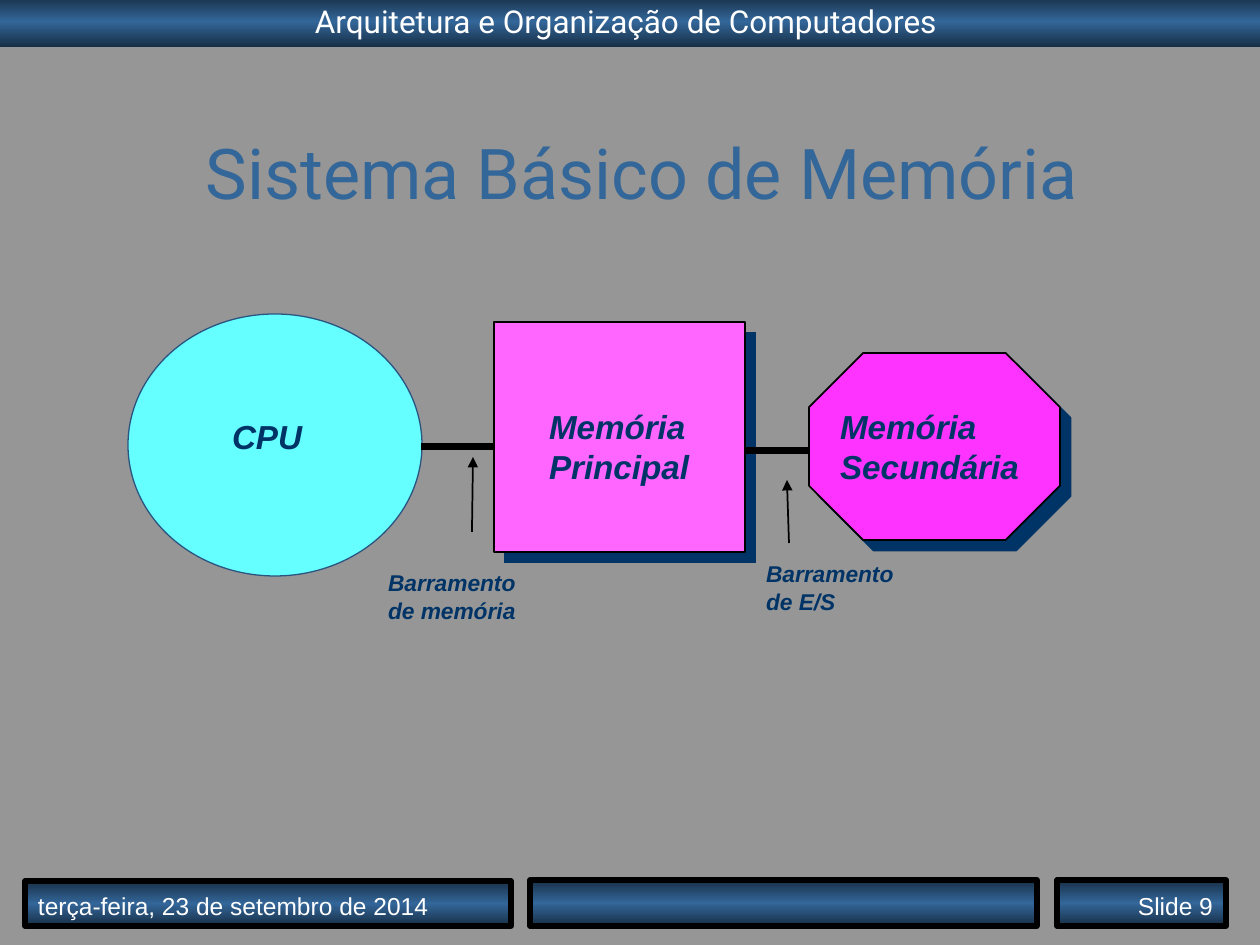
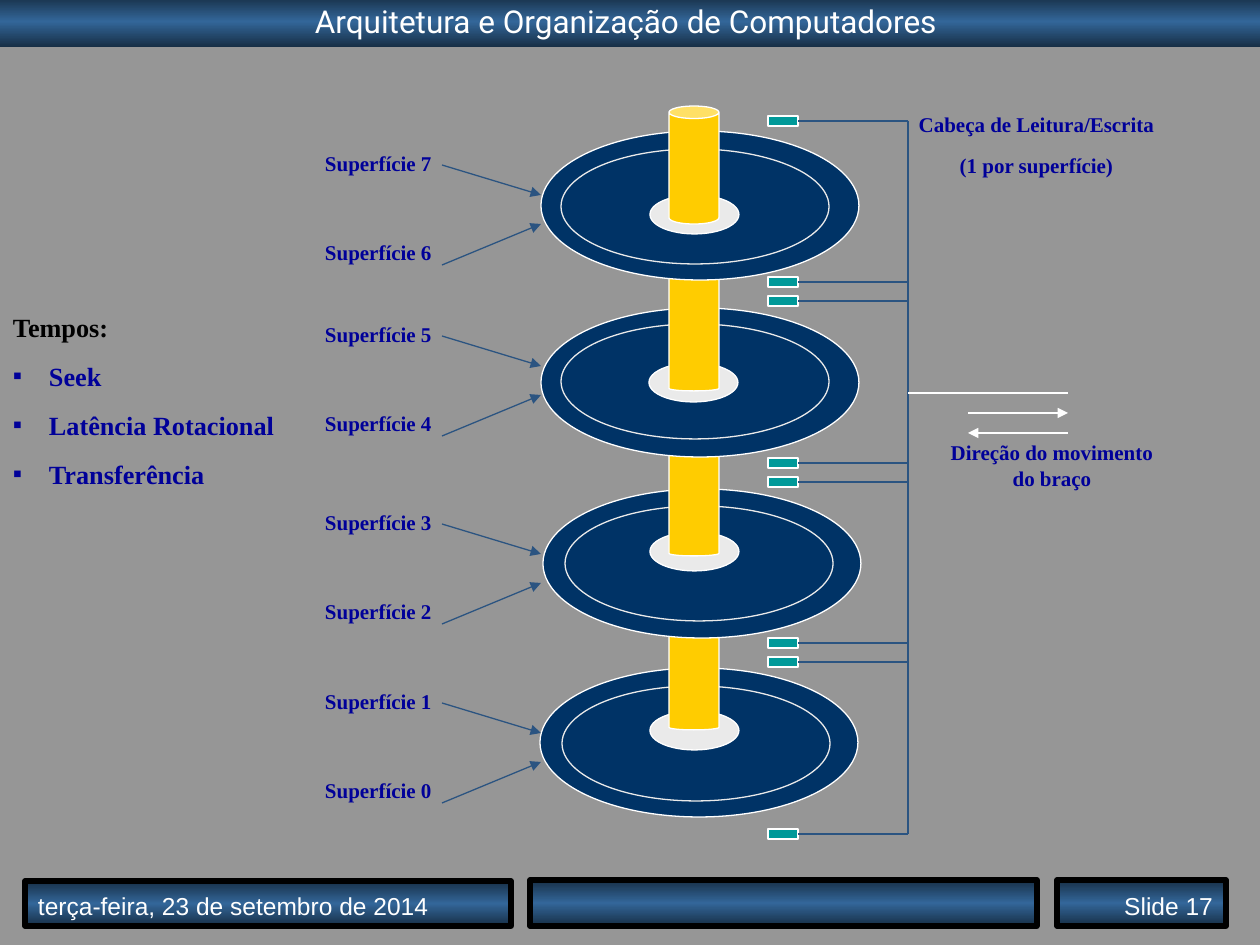
from copy import deepcopy

from lxml.etree import SubElement
from pptx import Presentation
from pptx.dml.color import RGBColor
from pptx.enum.shapes import MSO_CONNECTOR, MSO_SHAPE
from pptx.enum.text import MSO_ANCHOR, MSO_AUTO_SIZE, PP_ALIGN
from pptx.oxml.ns import qn
from pptx.util import Emu, Pt

EMU_PER_PX = 914400 / 126
TITLE_ONLY, BLANK = 5, 6

GREY, WHITE, BLACK = "969696", "FFFFFF", "000000"
NAVY, STEEL, BAND_EDGE, LINE_BLUE = "003366", "336699", "172F46", "2B5481"
LABEL_BLUE, TEAL, GOLD, SILVER = "000099", "009999", "FFCC00", "EAEAEA"
ROBOTO, ARIAL, TIMES = "Roboto", "Arial", "Times New Roman"


def px(n):
    return Emu(round(n * EMU_PER_PX))


def rgb(color):
    return RGBColor.from_string(color)


# ---- Basic parts ----

def put_text(shape, lines, size, font, color, bold=False, italic=False,
             align=PP_ALIGN.LEFT, anchor=MSO_ANCHOR.TOP,
             insets=(13, 6, 13, 6), gap=0):
    tf = shape.text_frame
    tf.word_wrap = True
    tf.auto_size = MSO_AUTO_SIZE.NONE
    tf.vertical_anchor = anchor
    tf.margin_left, tf.margin_top, tf.margin_right, tf.margin_bottom = map(px, insets)
    for i, line in enumerate(lines):
        p = tf.add_paragraph() if i else tf.paragraphs[0]
        p.alignment = align
        if i and gap:
            p.space_before = Pt(gap)
        r = p.add_run()
        r.text = line
        r.font.size, r.font.name = Pt(size), font
        r.font.bold, r.font.italic = bold, italic
        r.font.color.rgb = rgb(color)
    return tf


def add_text(s, box, lines, size, font, color, **style):
    tb = s.shapes.add_textbox(*map(px, box))
    return put_text(tb, lines, size, font, color, **style)


def add_box(s, kind, box, fill=None, line=None, width=0.75, adj=None):
    sp = s.shapes.add_shape(kind, *map(px, box))
    sp.shadow.inherit = False
    if adj is not None:
        sp.adjustments[0] = adj
    if fill:
        sp.fill.solid()
        sp.fill.fore_color.rgb = rgb(fill)
    if line:
        sp.line.color.rgb = rgb(line)
        sp.line.width = Pt(width)
    else:
        sp.line.fill.background()
    return sp


def add_band(s, box, line=None):
    """Rectangle shaded dark, light, dark from top to bottom."""
    sp = add_box(s, MSO_SHAPE.RECTANGLE, box, line=line, width=3)
    sp.fill.gradient()
    sp.fill.gradient_angle = 90
    stops = sp.element.spPr.find(".//" + qn("a:gsLst"))
    stops.append(deepcopy(stops[0]))
    colors = (BAND_EDGE, STEEL, BAND_EDGE)
    for stop, position, color in zip(sp.fill.gradient_stops, (0, 0.5, 1), colors):
        stop.position = position
        stop.color.rgb = rgb(color)
    return sp


def add_shadow(sp):
    effects = sp.element.spPr.find(qn("a:effectLst"))
    shadow = SubElement(effects, qn("a:outerShdw"), dist=str(Pt(8.5)),
                        dir="2700000", algn="ctr", rotWithShape="0")
    SubElement(shadow, qn("a:srgbClr"), val=NAVY)


def add_line(s, start, end, color, width=0.75, arrow=False):
    ends = map(px, (*start, *end))
    line = s.shapes.add_connector(MSO_CONNECTOR.STRAIGHT, *ends)
    line.line.color.rgb = rgb(color)
    line.line.width = Pt(width)
    spPr = line.element.spPr
    if arrow:
        SubElement(spPr.find(qn("a:ln")), qn("a:tailEnd"), type="triangle")
    SubElement(spPr, qn("a:effectLst"))
    return line


# ---- Shared frame ----

def new_slide(prs, layout, number):
    s = prs.slides.add_slide(prs.slide_layouts[layout])
    s.background.fill.solid()
    s.background.fill.fore_color.rgb = rgb(GREY)
    header = add_band(s, (0, -4, 1260, 51))
    put_text(header, ["Arquitetura e Organização de Computadores"], 18, ROBOTO,
             WHITE, align=PP_ALIGN.CENTER, insets=(13, 6, 21, 6))
    footers = (
        ((25, 881, 486, 45), "terça-feira, 23 de setembro de 2014", PP_ALIGN.LEFT),
        ((530, 880, 507, 46), None, None),
        ((1057, 880, 169, 46), f"Slide {number}", PP_ALIGN.RIGHT),
    )
    for box, text, align in footers:
        band = add_band(s, box, BLACK)
        if text:
            put_text(band, [text], 14, ARIAL, WHITE, align=align,
                     anchor=MSO_ANCHOR.BOTTOM)
    return s


# ---- Memory system ----

def memory_diagram(s, x, y):
    """CPU, main and secondary memory, joined by two buses."""
    cpu = (x, y, 294, 262)
    main = (x + 366, y + 8, 251, 230)
    secondary = (x + 681, y + 39, 251, 187)
    add_box(s, MSO_SHAPE.OVAL, cpu, "66FFFF", LINE_BLUE)
    add_shadow(add_box(s, MSO_SHAPE.RECTANGLE, main, "FF66FF", BLACK, 1))
    add_shadow(add_box(s, MSO_SHAPE.OCTAGON, secondary, "FF33FF", BLACK, 1, 0.29))

    labels = (
        (94, 97, 19, ["CPU"]),
        (411, 87, 19, ["Memória", "Principal"]),
        (702, 87, 19, ["Memória", "Secundária"]),
        (250, 250, 13, ["Barramento", "de memória"]),
        (628, 241, 13, ["Barramento", "de E/S"]),
    )
    for dx, dy, size, lines in labels:
        add_text(s, (x + dx, y + dy, 220, 45 * len(lines)), lines, size, ARIAL, NAVY,
                 bold=True, italic=True, insets=(10, 5, 10, 5))

    # Buses, then the arrows that point at them
    for left, right, dy in ((293, 366, 133), (618, 681, 137)):
        add_line(s, (x + left, y + dy), (x + right, y + dy), BLACK, 4)
    for start, end in (((344, 218), (345, 143)), ((661, 229), (659, 166))):
        add_line(s, (x + start[0], y + start[1]), (x + end[0], y + end[1]),
                 BLACK, 1, arrow=True)


def memory_slide(prs):
    s = new_slide(prs, TITLE_ONLY, 9)
    title = s.shapes.title
    title.left, title.top, title.width, title.height = map(px, (106, 96, 1071, 122))
    put_text(title, ["Sistema Básico de Memória"], 40, ROBOTO, STEEL,
             align=PP_ALIGN.CENTER, anchor=MSO_ANCHOR.BOTTOM, insets=(8, 4, 8, 4))
    memory_diagram(s, 128, 314)


# ---- Disk unit ----

def platter(s, x, y, track, hub, spindle_top, spindle_height, rim):
    """One platter with its track, hub and the piece of spindle above it."""
    add_box(s, MSO_SHAPE.OVAL, (x, y, 318, 149), NAVY, WHITE)
    add_box(s, MSO_SHAPE.OVAL, (x + track[0], y + track[1], 268, 115), NAVY, SILVER)
    add_box(s, MSO_SHAPE.OVAL, (x + hub[0], y + hub[1], 89, 39), SILVER, WHITE)
    add_box(s, MSO_SHAPE.CAN, (669, y + spindle_top, 50, spindle_height),
            GOLD, WHITE, adj=rim)


def surface_labels(s, x, y, upper):
    """Names of the two faces of a platter, with arrows to its edge."""
    for dy, number in ((0, upper), (89, upper - 1)):
        add_text(s, (x, y + dy, 149, 38), [f"Superfície {number}"], 12, TIMES,
                 LABEL_BLUE, bold=True)
    for start, end in ((20, 50), (120, 79)):
        add_line(s, (x + 130, y + start), (x + 229, y + end), LINE_BLUE, arrow=True)


def head_arm(s, x, arm_x):
    """Read/write heads, each wired to the vertical arm."""
    for y in (116, 277, 296, 458, 477, 638, 657, 829):
        head = add_box(s, MSO_SHAPE.RECTANGLE, (x, y, 30, 10), TEAL, WHITE)
        wire = add_line(s, (x + 30, y + 5), (arm_x, y + 5), LINE_BLUE)
        wire.begin_connect(head, 3)
    add_line(s, (arm_x, 121), (arm_x, 834), LINE_BLUE)
    add_text(s, (888, 106, 297, 77), ["Cabeça de Leitura/Escrita", "(1 por superfície)"],
             12, TIMES, LABEL_BLUE, bold=True, align=PP_ALIGN.CENTER, gap=8.5)


def arm_movement(s, x, y):
    add_line(s, (x, y), (x + 160, y), WHITE)
    add_line(s, (x + 60, y + 20), (x + 160, y + 20), WHITE, arrow=True)
    add_line(s, (x + 160, y + 40), (x + 60, y + 40), WHITE, arrow=True)
    add_text(s, (x + 20, y + 41, 248, 63), ["Direção do movimento do braço"], 12,
             TIMES, LABEL_BLUE, bold=True, align=PP_ALIGN.CENTER)


def access_times(s, box):
    tf = add_text(s, box, ["Tempos:", "Seek", "Latência Rotacional", "Transferência"],
                  15, TIMES, LABEL_BLUE, bold=True, gap=10)
    heading, *items = tf.paragraphs
    heading.runs[0].font.color.rgb = rgb(BLACK)
    for p in items:
        pPr = p._p.get_or_add_pPr()
        pPr.set("marL", str(px(36)))
        pPr.set("indent", str(-px(36)))
        SubElement(SubElement(pPr, qn("a:buClr")), qn("a:srgbClr"), val=LABEL_BLUE)
        SubElement(pPr, qn("a:buFont"), typeface=TIMES)
        SubElement(pPr, qn("a:buChar"), char="▪")


def disk_slide(prs):
    s = new_slide(prs, BLANK, 17)
    head_arm(s, 768, 908)
    # Bottom to top: x, y, track, hub, spindle top, spindle height, rim
    platters = (
        (540, 668, (22, 18), (110, 43), -67, 129, 0.1),
        (543, 489, (22, 17), (107, 43), -62, 129, 0.1),
        (541, 308, (20, 16), (108, 55), -46, 129, 0.1),
        (541, 131, (20, 18), (109, 64), -25, 118, 0.25),
    )
    for parts in platters:
        platter(s, *parts)
    for i, y in enumerate((683, 504, 316, 145)):
        surface_labels(s, 312, y, 2 * i + 1)
    arm_movement(s, 908, 393)
    access_times(s, (0, 305, 292, 188))


def main():
    prs = Presentation()
    prs.slide_width, prs.slide_height = px(1260), px(945)
    memory_slide(prs)
    disk_slide(prs)
    prs.save("out.pptx")


if __name__ == "__main__":
    main()
